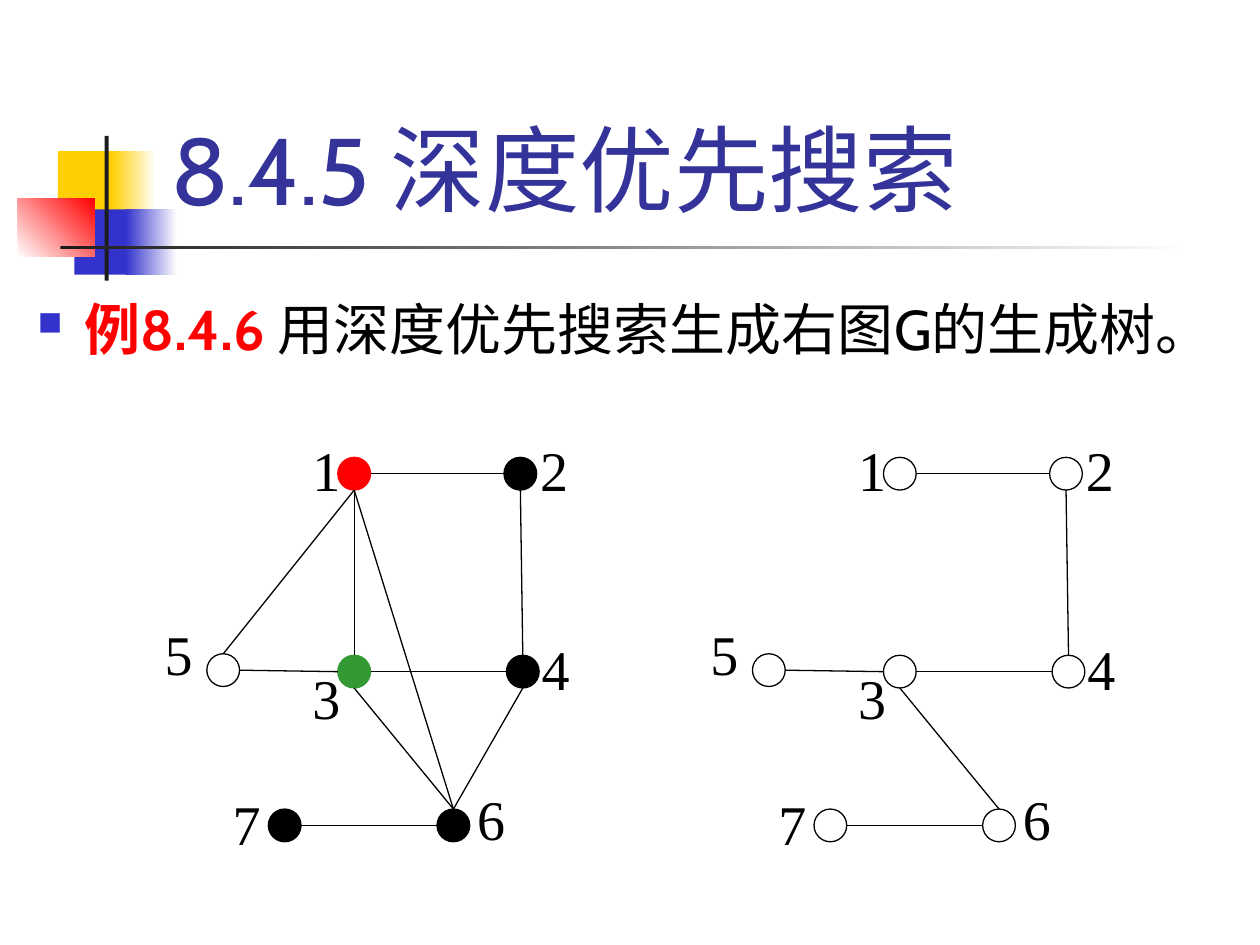
"""Build a slide on depth-first search: graph G and its spanning tree."""
from lxml import etree
from pptx import Presentation
from pptx.dml.color import RGBColor
from pptx.enum.shapes import MSO_CONNECTOR, MSO_SHAPE
from pptx.enum.text import MSO_ANCHOR, PP_ALIGN
from pptx.oxml.ns import qn
from pptx.util import Cm, Pt

RECT, OVAL = MSO_SHAPE.RECTANGLE, MSO_SHAPE.OVAL
STRAIGHT = MSO_CONNECTOR.STRAIGHT
TOP, BOTTOM = MSO_ANCHOR.TOP, MSO_ANCHOR.BOTTOM
LEFT = PP_ALIGN.LEFT

THEME = {
    "title": "333399", "ink": "000000", "paper": "FFFFFF", "rule": "1C1C1C",
    "yellow": "FFCF01", "blue": "3333CC", "red": "FF0000", "green": "339933",
    "font": "Cabin", "label_font": "Times New Roman",
    "title_size": 54, "body_size": 32, "hairline": 0.75,
}

TITLE = [("8.4.5 深度优先搜索", "title", False)]
BODY = [("例8.4.6 ", "red", True), ("用深度优先搜索生成右图G的生成树。", "ink", False)]

# left, top, width, height, colours, angle
DECOR = [
    (1.17, 3.05, 1.22, 1.32, ["yellow"], 0),
    (2.24, 3.05, 0.91, 1.32, ["yellow", "paper"], 0),
    (1.5, 4.22, 1.17, 1.32, ["blue"], 0),
    (2.54, 4.22, 1.02, 1.32, ["blue", "paper"], 0),
    (0.36, 4.01, 1.55, 1.17, ["paper", "red"], 45),
    (2.11, 2.74, 0.08, 2.92, ["rule"], 0),
    (1.22, 4.95, 22.86, 0.08, ["rule", "paper"], 0),
]

NODES = {
    1: (7.14, 9.55), 2: (10.49, 9.55), 3: (7.14, 13.54), 4: (10.54, 13.54),
    5: (4.5, 13.51), 6: (9.14, 16.64), 7: (5.74, 16.64),
}
LABELS = {
    7: (4.44, 15.8), 6: (9.37, 15.7), 2: (10.64, 8.66), 4: (10.67, 12.67),
    3: (6.05, 13.26), 1: (6.05, 8.66), 5: (3.07, 12.37),
}
LABEL_W, LABEL_H, RADIUS = 2.21, 1.93, 0.33
SIDES = {"t": (0, -RADIUS), "l": (-RADIUS, 0), "b": (0, RADIUS), "r": (RADIUS, 0)}

TREE = ["5r3l", "3r4l", "1r2l", "2b4t", "7r6l", "6t3b"]
GRAPHS = [
    {"dx": 0, "edges": TREE + ["1b5t", "1b3t", "6t4b", "6t1b"],
     "fills": {1: "red", 2: "ink", 3: "green", 4: "ink", 6: "ink", 7: "ink"}},
    {"dx": 11, "edges": TREE, "fills": {}},
]


def rgb(key):
    return RGBColor.from_string(THEME[key])


def add_box(s, kind, x, y, w, h, colours, line=None, angle=0):
    sp = s.shapes.add_shape(kind, Cm(x), Cm(y), Cm(w), Cm(h))
    sp.shadow.inherit = False
    if len(colours) > 1:
        sp.fill.gradient()
        sp.fill.gradient_angle = angle
        for stop, colour in zip(sp.fill.gradient_stops, colours):
            stop.color.rgb = rgb(colour)
    else:
        sp.fill.solid()
        sp.fill.fore_color.rgb = rgb(colours[0])
    if line:
        sp.line.color.rgb = rgb(line)
        sp.line.width = Pt(THEME["hairline"])
    else:
        sp.line.fill.background()
    return sp


def write_text(sp, runs, size="body_size", font="font", anchor=TOP):
    tf = sp.text_frame
    tf.word_wrap = True
    tf.vertical_anchor = anchor
    p = tf.paragraphs[0]
    p.alignment = LEFT
    for text, colour, bold in runs:
        r = p.add_run()
        r.text = text
        r.font.name = THEME[font]
        r.font.size = Pt(THEME[size])
        r.font.bold = bold
        r.font.color.rgb = rgb(colour)
    return p


def add_bullet(p, char, colour, percent, indent):
    pPr = p._p.get_or_add_pPr()
    pPr.set("marL", str(Cm(indent)))
    pPr.set("indent", str(-Cm(indent)))
    clr = etree.SubElement(pPr, qn("a:buClr"))
    etree.SubElement(clr, qn("a:srgbClr"), val=THEME[colour])
    etree.SubElement(pPr, qn("a:buSzPct"), val=str(percent * 1000))
    etree.SubElement(pPr, qn("a:buChar"), char=char)


def add_edge(s, edge, dx):
    ends = []
    for node, side in (edge[:2], edge[2:]):
        (x, y), (ox, oy) = NODES[int(node)], SIDES[side]
        ends += [Cm(x + ox + dx), Cm(y + oy)]
    line = s.shapes.add_connector(STRAIGHT, *ends)
    line.line.color.rgb = rgb("ink")
    line.line.width = Pt(THEME["hairline"])
    etree.SubElement(line._element.spPr, qn("a:effectLst"))


def add_graph(s, dx, edges, fills):
    for node, (x, y) in LABELS.items():
        sp = add_box(s, RECT, x + dx, y, LABEL_W, LABEL_H, ["paper"], "paper")
        write_text(sp, [(str(node), "ink", False)], font="label_font")
    for node, (x, y) in NODES.items():
        fill = fills.get(node, "paper")
        outline = "ink" if fill == "paper" else fill
        add_box(s, OVAL, x - RADIUS + dx, y - RADIUS, 2 * RADIUS, 2 * RADIUS,
                [fill], outline)
    for edge in edges:
        add_edge(s, edge, dx)


def main():
    prs = Presentation()
    prs.slide_width, prs.slide_height = Cm(25.4), Cm(19.05)
    s = prs.slides.add_slide(prs.slide_layouts[6])
    for x, y, w, h, colours, angle in DECOR:
        add_box(s, RECT, x, y, w, h, colours, angle=angle)

    title = s.shapes.add_textbox(Cm(3.2), Cm(0.58), Cm(21.64), Cm(4.06))
    write_text(title, TITLE, size="title_size", anchor=BOTTOM)
    body = s.shapes.add_textbox(Cm(0.51), Cm(5.13), Cm(24.89), Cm(13.92))
    p = write_text(body, BODY)
    p.line_spacing = 1.5
    p.space_before = Pt(8)
    add_bullet(p, "■", "blue", 60, 0.95)

    for graph in GRAPHS:
        add_graph(s, **graph)
    prs.save("out.pptx")


if __name__ == "__main__":
    main()
